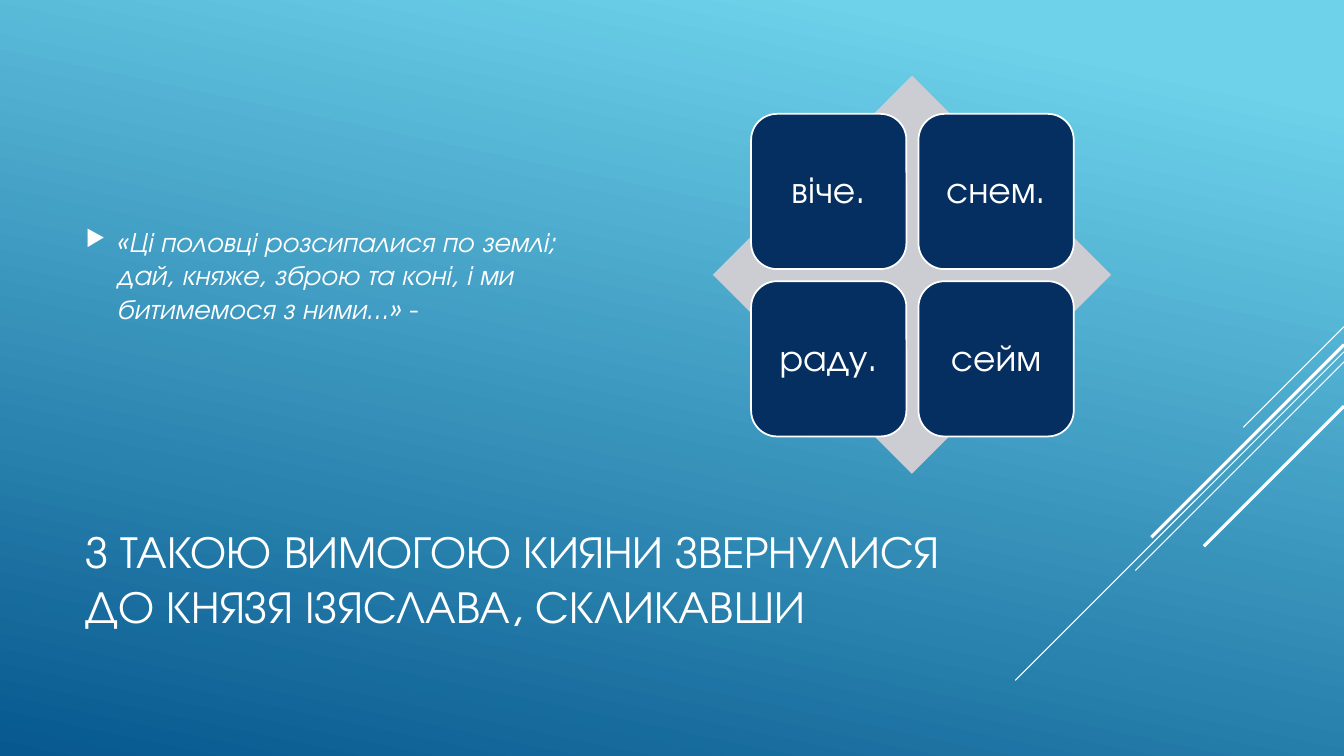
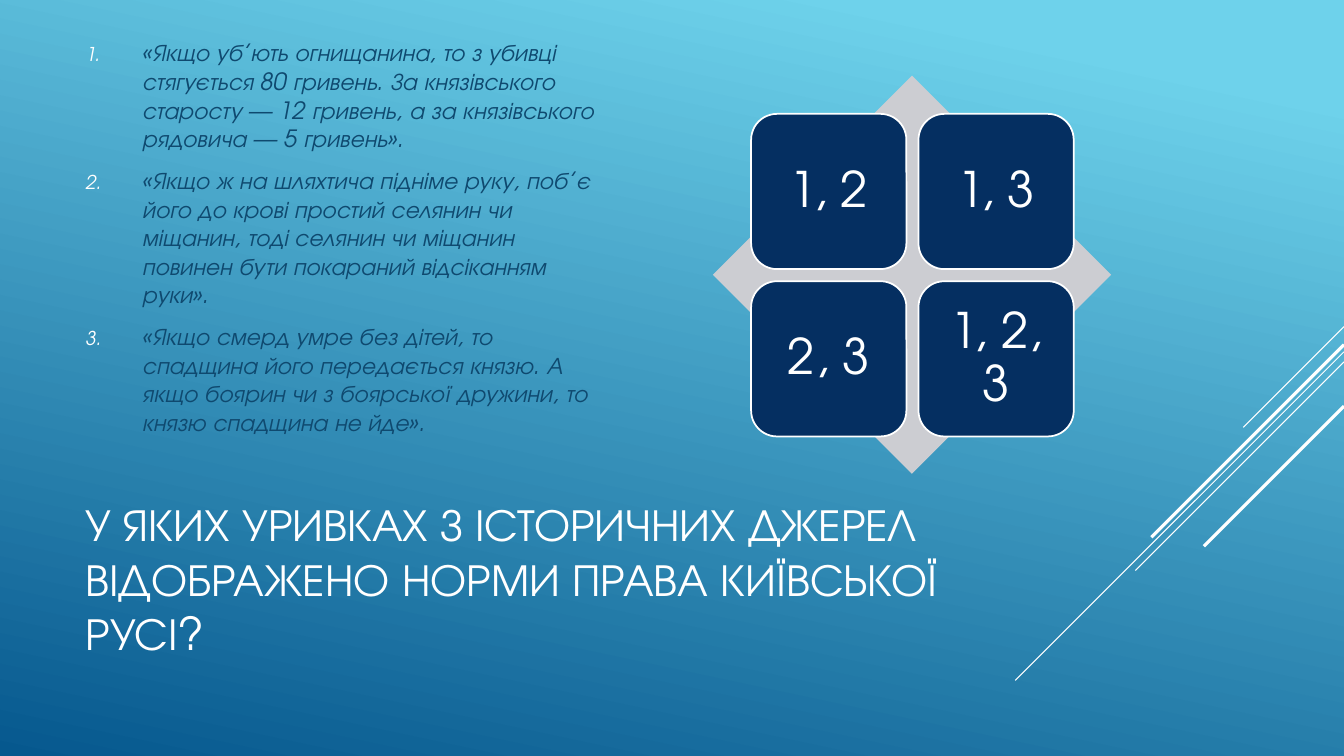
from itertools import product

from lxml import etree
from pptx import Presentation
from pptx.dml.color import RGBColor
from pptx.enum import shapes, text
from pptx.oxml import ns
from pptx.util import Inches, Pt

FONT = "TeX Gyre Adventor"
WHITE = RGBColor(0xFF, 0xFF, 0xFF)
SKY = RGBColor(0x6E, 0xD2, 0xEB)
DEEP_BLUE = RGBColor(0x06, 0x58, 0x8E)
NAVY = RGBColor(0x05, 0x2F, 0x61)
TEAL = RGBColor(0x0F, 0x49, 0x6F)
GREY = RGBColor(0xCC, 0xCD, 0xD2)

SLIDE_W, SLIDE_H = 13.33, 7.5
# Diagonals from the right edge: start height, run to the left, width in points
DIAGONALS = [(3.24, 1, 0.75), (3.49, 3.26, 0.75), (3.59, 2.07, 0.75),
             (3.42, 1.91, 2.25), (4.03, 1.39, 2.25)]
MATRIX_X, MATRIX_Y, MATRIX_SIZE = 7.07, 0.75, 3.95
TILE, TILE_STEP, TILE_MARGIN = 1.54, 1.66, 0.38


def style(font, size, color=WHITE, italic=False):
    font.name = FONT
    font.size = Pt(size)
    font.color.rgb = color
    font.italic = italic


def set_background(master):
    fill = master.background.fill
    fill.gradient()
    fill.gradient_angle = 360 - 102
    for stop, position, color in zip(fill.gradient_stops, (0.1, 1), (SKY, DEEP_BLUE)):
        stop.position = position
        stop.color.rgb = color


def add_diagonals(s):
    for y, run, width in DIAGONALS:
        line = s.shapes.add_connector(
            shapes.MSO_CONNECTOR.STRAIGHT, Inches(SLIDE_W), Inches(y),
            Inches(SLIDE_W - run), Inches(y + run))
        line.line.color.rgb = WHITE
        line.line.width = Pt(width)
        etree.SubElement(line._element.spPr, ns.qn("a:effectLst"))


def add_slide(prs, title):
    s = prs.slides.add_slide(prs.slide_layouts[5])
    add_diagonals(s)
    sp = s.shapes.title
    sp.left, sp.top = Inches(0.75), Inches(4.91)
    sp.width, sp.height = Inches(9.33), Inches(1.65)
    tf = sp.text_frame
    tf.text = title
    tf.auto_size = text.MSO_AUTO_SIZE.NONE
    tf.vertical_anchor = text.MSO_ANCHOR.MIDDLE
    p = tf.paragraphs[0]
    p.alignment = text.PP_ALIGN.LEFT
    style(p.runs[0].font, 32.4)
    return s


def add_bullet(p, indent, tag, **attributes):
    """Give the paragraph a white marker of 80 % size on a hanging indent."""
    pPr = p._p.get_or_add_pPr()
    pPr.set("marL", str(Inches(indent)))
    pPr.set("indent", str(-Inches(indent)))
    color = etree.SubElement(pPr, ns.qn("a:buClr"))
    etree.SubElement(color, ns.qn("a:srgbClr"), val=str(WHITE))
    etree.SubElement(pPr, ns.qn("a:buSzPct"), val="80000")
    etree.SubElement(pPr, ns.qn(tag), **attributes)


def add_body(s, top, height, anchor):
    tf = s.shapes.add_textbox(Inches(0.75), Inches(top), Inches(5.4), Inches(height)).text_frame
    tf.word_wrap = True
    tf.vertical_anchor = anchor
    return tf


def add_quote(s, quote, ending):
    p = add_body(s, 0.75, 3.95, text.MSO_ANCHOR.MIDDLE).paragraphs[0]
    add_bullet(p, 0.31, "a:buChar", char="▶")
    for words, italic in ((quote, True), (ending, False)):
        r = p.add_run()
        r.text = words
        style(r.font, 20, italic=italic)


def add_numbered_quotes(s, quotes):
    tf = add_body(s, 0.33, 4.07, text.MSO_ANCHOR.TOP)
    tf.text = "\n".join(quotes)
    for i, p in enumerate(tf.paragraphs):
        add_bullet(p, 0.56, "a:buAutoNum", type="arabicPeriod")
        if i:
            p.space_before = Pt(9.4)
        style(p.runs[0].font, 17, TEAL, italic=True)


def add_filled_shape(s, kind, x, y, size, color):
    sp = s.shapes.add_shape(kind, Inches(x), Inches(y), Inches(size), Inches(size))
    sp.shadow.inherit = False
    sp.fill.solid()
    sp.fill.fore_color.rgb = color
    sp.line.fill.background()
    return sp


def add_matrix(s, labels, size, inset):
    """Four tiles, row by row, over a diamond."""
    add_filled_shape(s, shapes.MSO_SHAPE.DIAMOND, MATRIX_X, MATRIX_Y, MATRIX_SIZE, GREY)
    for label, (row, col) in zip(labels, product(range(2), repeat=2)):
        sp = add_filled_shape(s, shapes.MSO_SHAPE.ROUNDED_RECTANGLE,
                              MATRIX_X + TILE_MARGIN + col * TILE_STEP,
                              MATRIX_Y + TILE_MARGIN + row * TILE_STEP, TILE, NAVY)
        sp.line.color.rgb = WHITE
        sp.line.width = Pt(1.25)
        tf = sp.text_frame
        tf.text = label
        tf.word_wrap = True
        tf.vertical_anchor = text.MSO_ANCHOR.MIDDLE
        tf.margin_left = tf.margin_right = tf.margin_top = tf.margin_bottom = Inches(inset)
        p = tf.paragraphs[0]
        p.alignment = text.PP_ALIGN.CENTER
        p.line_spacing = 0.9
        style(p.runs[0].font, size)


def main():
    prs = Presentation()
    prs.slide_width, prs.slide_height = Inches(SLIDE_W), Inches(SLIDE_H)
    set_background(prs.slide_master)

    s = add_slide(prs, "З ТАКОЮ ВИМОГОЮ КИЯНИ ЗВЕРНУЛИСЯ ДО КНЯЗЯ ІЗЯСЛАВА, СКЛИКАВШИ")
    add_quote(s, "«Ці половці розсипалися по землі; дай, княже, зброю та коні, "
                 "і ми битимемося з ними...»", " -")
    add_matrix(s, ["віче.", "снем.", "раду.", "сейм"], 27, 0.11)

    s = add_slide(prs, "У ЯКИХ УРИВКАХ З ІСТОРИЧНИХ ДЖЕРЕЛ ВІДОБРАЖЕНО НОРМИ ПРАВА "
                       "КИЇВСЬКОЇ РУСІ?")
    add_numbered_quotes(s, [
        "«Якщо уб’ють огнищанина, то з убивці стягується 80 гривень. За князівського "
        "старосту — 12 гривень, а за князівського рядовича — 5 гривень».",
        "«Якщо ж на шляхтича підніме руку, поб’є його до крові простий селянин чи "
        "міщанин, тоді селянин чи міщанин повинен бути покараний відсіканням руки».",
        "«Якщо смерд умре без дітей, то спадщина його передається князю. А якщо боярин "
        "чи з боярської дружини, то князю спадщина не йде».",
    ])
    add_matrix(s, ["1, 2", "1, 3", "2, 3", "1, 2, 3"], 35, 0.15)

    prs.save("out.pptx")


if __name__ == "__main__":
    main()
